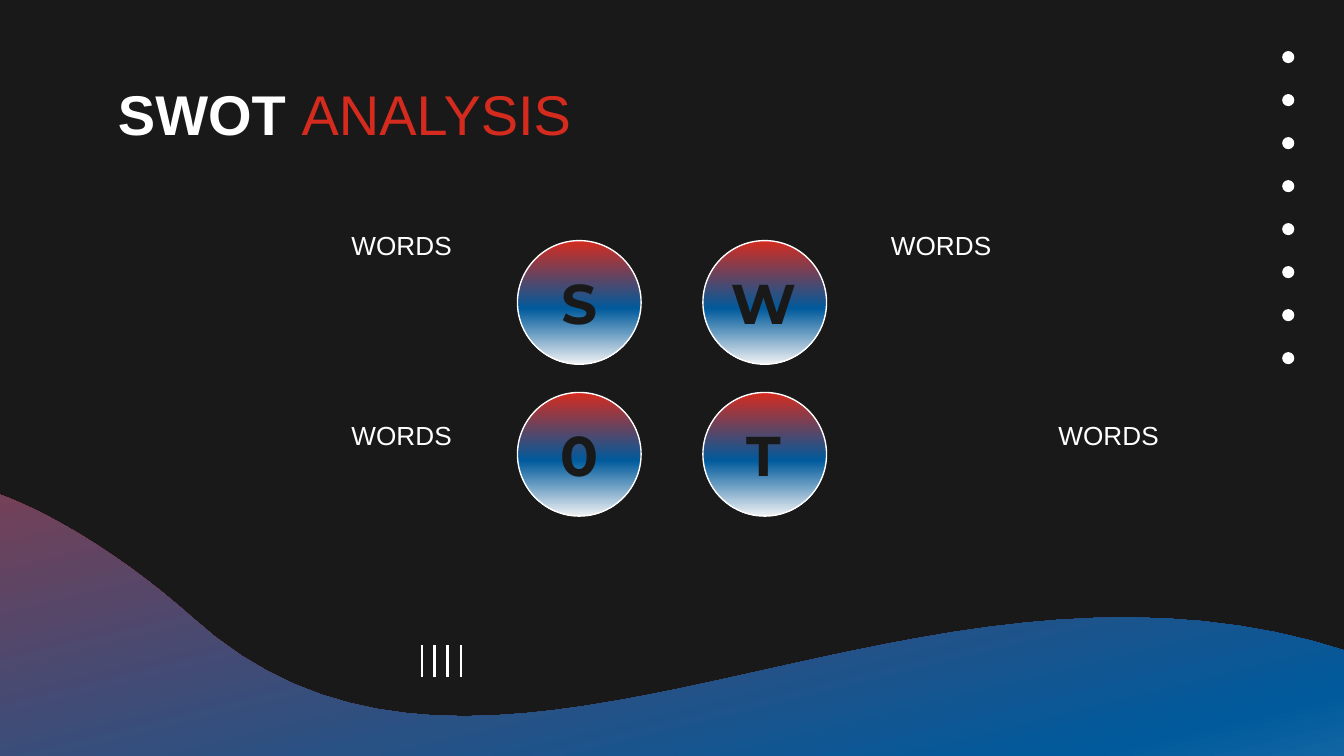
from copy import deepcopy
from math import cos, radians, sin

from lxml import etree
from pptx import Presentation
from pptx.dml.color import RGBColor
from pptx.enum.shapes import MSO_CONNECTOR, MSO_SHAPE
from pptx.enum.text import MSO_ANCHOR, PP_ALIGN
from pptx.oxml.ns import qn
from pptx.util import Inches, Pt

WHITE, DARK, RED = "FFFFFF", "191919", "D52B1E"
GRADIENT = [(0, RED), (0.55, "005A9C"), (1, "EFF1F3")]


def color(value):
    return RGBColor.from_string(value)


def fill_gradient(shape):
    shape.fill.gradient()
    shape.fill.gradient_angle = 270
    stop_list = next(shape._element.iter(qn("a:gsLst")))
    stop_list.append(deepcopy(stop_list[0]))
    for stop, (position, value) in zip(shape.fill.gradient_stops, GRADIENT):
        stop.position = position
        stop.color.rgb = color(value)


# Widescreen slide, 16:9
prs = Presentation()
prs.slide_width = Inches(10)
prs.slide_height = Inches(10 * 9 / 16)
slide = prs.slides.add_slide(prs.slide_layouts[6])
slide.background.fill.solid()
slide.background.fill.fore_color.rgb = color(DARK)
shapes = slide.shapes

# Wave: each segment is a line (one point) or a Bezier curve (three points)
wave_start = (-0.28, 3.6)
wave_segments = [
    [(0.25, 3.71), (0.94, 4.16), (1.42, 4.59)],
    [(3.87, 6.82), (7.45, 3.08), (11.14, 5.37)],
    [(11.66, 7.49)],
    [(8.37, 8.3)],
    [(7.53, 7.72), (3.6, 7.25), (2.84, 7.28)],
    [(-0.68, 7.42), (-0.92, 7.82), (-1.69, 7.84)],
]
wave_points = [wave_start]
for segment in wave_segments:
    if len(segment) == 1:
        wave_points += segment
        continue
    a, (b, c, d) = wave_points[-1], segment
    for step in range(1, 41):
        t = step / 40
        u = 1 - t
        wave_points.append(tuple(
            u**3 * a[i] + 3 * u * u * t * b[i] + 3 * u * t * t * c[i] + t**3 * d[i]
            for i in (0, 1)))

# The outline is turned back first, so that the rotation tilts only the gradient
tilt, center_x, center_y = 13.8, 4.54, 5.84
cosine, sine = cos(radians(tilt)), sin(radians(tilt))
outline = []
for x, y in wave_points:
    dx, dy = x - center_x, y - center_y
    outline.append((Inches(center_x + dx * cosine - dy * sine),
                    Inches(center_y + dx * sine + dy * cosine)))
builder = shapes.build_freeform(*outline[0])
builder.add_line_segments(outline[1:], close=True)
wave = builder.convert_to_shape()
wave.rotation = 360 - tilt
wave.shadow.inherit = False
wave.line.fill.background()
fill_gradient(wave)

# Column of dots
for row in range(8):
    dot = shapes.add_shape(MSO_SHAPE.OVAL, Inches(9.54), Inches(0.38 + 0.32 * row),
                           Inches(0.09), Inches(0.09))
    dot.shadow.inherit = False
    dot.fill.solid()
    dot.fill.fore_color.rgb = color(WHITE)
    dot.line.fill.background()

# Upright strokes
for left in (3.14, 3.23, 3.33, 3.43):
    x = Inches(left)
    stroke = shapes.add_connector(MSO_CONNECTOR.STRAIGHT, x, Inches(4.8), x, Inches(5.04))
    stroke.line.color.rgb = color(WHITE)
    stroke.line.width = Pt(1.5)
    etree.SubElement(stroke._element.spPr, qn("a:effectLst"))

# Circles
for y in (1.79, 2.92):
    for x in (3.85, 5.23):
        circle = shapes.add_shape(MSO_SHAPE.OVAL, Inches(x), Inches(y),
                                  Inches(0.92), Inches(0.92))
        circle.shadow.inherit = False
        fill_gradient(circle)
        circle.line.color.rgb = color(WHITE)
        circle.line.width = Pt(0.75)

# Title, captions and letters: box, alignment, anchor, size, font, runs
LEFT, RIGHT, CENTER = PP_ALIGN.LEFT, PP_ALIGN.RIGHT, PP_ALIGN.CENTER
TOP, MIDDLE = MSO_ANCHOR.TOP, MSO_ANCHOR.MIDDLE
texts = [((0.78, 0.49, 8, 0.71), LEFT, TOP, 30, "Arial",
          [("SWOT ", WHITE, True), ("ANALYSIS", RED, False)])]
for x, y, align in [(1.28, 1.61, RIGHT), (6.53, 1.61, LEFT),
                    (1.28, 3.02, RIGHT), (6.54, 3.02, RIGHT)]:
    texts.append(((x, y, 2.18, 1), align, TOP, 14, "Arial", [("WORDS", WHITE, False)]))
for letter, x, y in [("S", 3.96, 1.9), ("W", 5.33, 1.9), ("0", 3.96, 3.03), ("T", 5.33, 3.03)]:
    texts.append(((x, y, 0.7, 0.7), CENTER, MIDDLE, 30, "Montserrat", [(letter, DARK, True)]))

for box, align, anchor, size, font, runs in texts:
    frame = shapes.add_textbox(*map(Inches, box)).text_frame
    frame.word_wrap = True
    frame.vertical_anchor = anchor
    frame.margin_left = frame.margin_right = Inches(0.1)
    frame.margin_top = frame.margin_bottom = Inches(0.1)
    paragraph = frame.paragraphs[0]
    paragraph.alignment = align
    for words, value, bold in runs:
        run = paragraph.add_run()
        run.text = words
        run.font.name = font
        run.font.size = Pt(size)
        run.font.bold = bold
        run.font.color.rgb = color(value)

prs.save("out.pptx")
